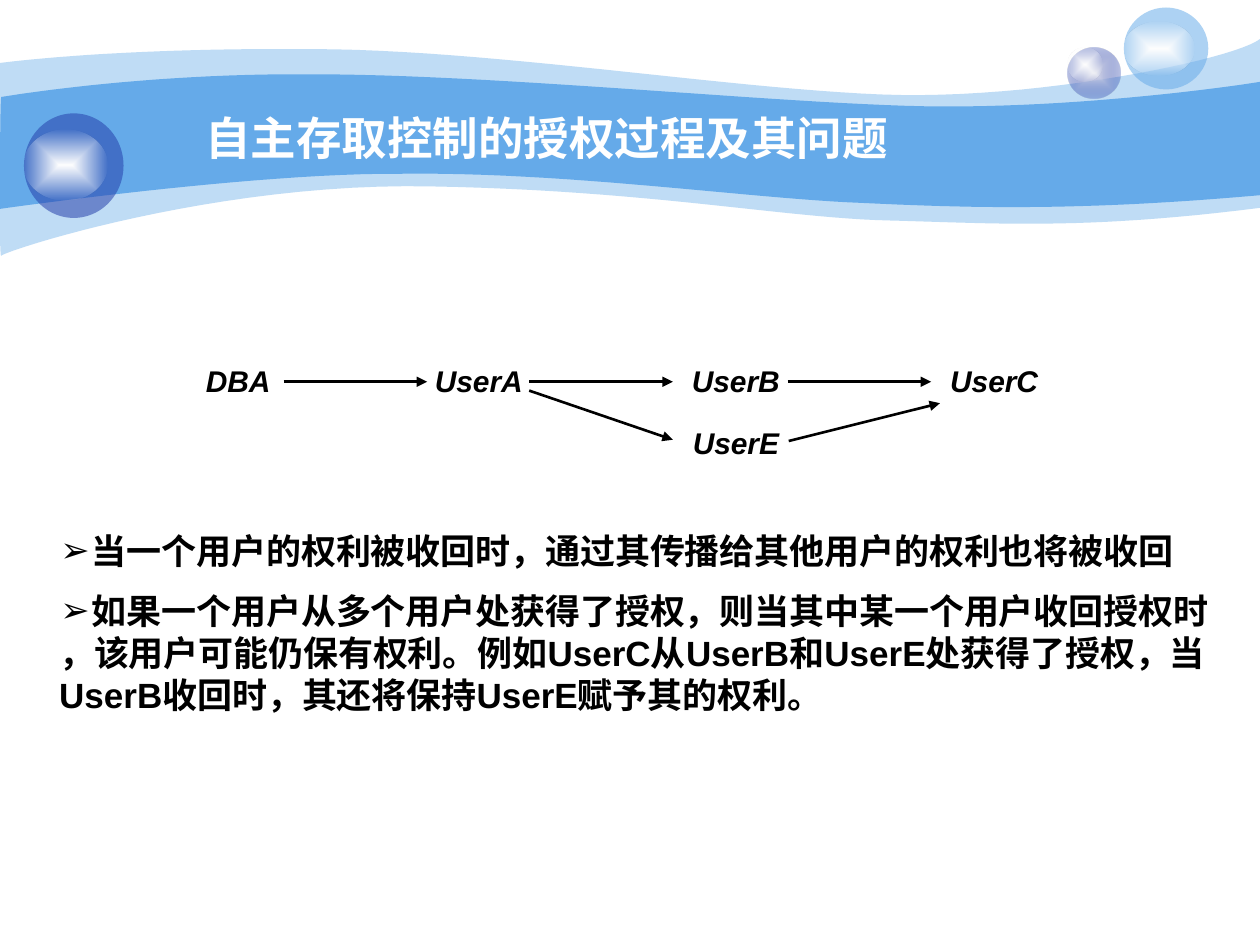
import itertools
import pptx
import pptx.util
import pptx.oxml
import pptx.oxml.ns
import pptx.dml.color
import pptx.enum.shapes
import pptx.enum.text

Inches = pptx.util.Inches
Pt = pptx.util.Pt
ALIGN = pptx.enum.text.PP_ALIGN
ANCHOR = pptx.enum.text.MSO_ANCHOR
CJK_FONT = "Noto Sans CJK SC"

TITLE = "自主存取控制的授权过程及其问题"
BODY = [
    ("当一个用户的权利被收回时，通过其传播给其他用户的权利也将被收回", True, 11.1),
    ("如果一个用户从多个用户处获得了授权，则当其中某一个用户收回授权时", True, 10.3),
    ("，该用户可能仍保有权利。例如UserC从UserB和UserE处获得了授权，当", False, 0),
    ("UserB收回时，其还将保持UserE赋予其的权利。", False, 0),
]
USERS = [
    ("DBA", 1.89, 2.87),
    ("UserA", 3.8, 2.87),
    ("UserB", 5.84, 2.87),
    ("UserC", 7.89, 2.87),
    ("UserE", 5.84, 3.36),
]
GRANTS = [
    (2.25, 3.03, 3.39, 3.03),
    (4.2, 3.03, 5.34, 3.03),
    (6.25, 3.03, 7.39, 3.03),
    (4.2, 3.1, 5.34, 3.49),
    (6.26, 3.5, 7.46, 3.2),
]
WAVES = [
    ("65AAE9", 41, (0, 0.5), [
        (0.24, 0.47, 1.07, 0.38, 2.47, 0.39),
        (3.86, 0.39, 5.75, 0.7, 6.99, 0.75),
        (8.22, 0.8, 9.8, 0.47, 10, 0.31),
        (10, 1.65),
        (8.58, 1.83, 7.87, 1.77, 7.05, 1.75),
        (6.22, 1.73, 5.15, 1.51, 3.43, 1.48),
        (1.72, 1.44, 0.04, 1.99, 0.01, 2.03),
        (-0.01, 2.08, 0, 0.75, 0, 0.5),
    ]),
    ("65AAE9", 100, (0.01, 0.77), [
        (0.02, 0.77, 1.1, 0.58, 2.48, 0.59),
        (3.86, 0.59, 5.95, 0.8, 7.18, 0.84),
        (8.41, 0.88, 9.76, 0.69, 10, 0.65),
        (10, 1.55),
        (8.53, 1.68, 7.65, 1.65, 6.82, 1.61),
        (5.99, 1.58, 4.47, 1.36, 3.17, 1.38),
        (2.03, 1.37, -0.02, 1.66, -0.01, 1.66),
        (0, 1.66, 0, 0.77, 0.01, 0.77),
    ]),
]
GLOW = [("FFFFFF", 100), ("FFFFFF", 0)]
BUBBLES = [
    ((8.47, 0.38, 0.42, 0.4), [("E1E2ED", 100), ("233DA9", 31)]),
    ((8.47, 0.38, 0.28, 0.27), GLOW),
    ((8.92, 0.06, 0.67, 0.65), [("65AAE9", 53)]),
    ((8.92, 0.17, 0.56, 0.43), GLOW),
    ((0.19, 0.9, 0.79, 0.83), [("233DA9", 53)]),
    ((0.19, 1.03, 0.66, 0.56), GLOW),
]


def color(value):
    return pptx.dml.color.RGBColor.from_string(value)


def element(markup):
    tag, rest = markup[1:].split(" ", 1)
    return pptx.oxml.parse_xml(f"<{tag} {pptx.oxml.ns.nsdecls('a')} {rest}")


def set_all(target, values):
    for name, value in values.items():
        setattr(target, name, value)


def paint(shape, stops):
    colors = [f'<a:srgbClr val="{value}"><a:alpha val="{alpha * 1000}"/></a:srgbClr>'
              for value, alpha in stops]
    if len(colors) == 1:
        markup = f"<a:solidFill >{colors[0]}</a:solidFill>"
    else:
        marks = "".join(f'<a:gs pos="{place * 100000}">{value}</a:gs>'
                        for place, value in enumerate(colors))
        markup = (f'<a:gradFill rotWithShape="1"><a:gsLst>{marks}</a:gsLst><a:path path="shape">'
                  '<a:fillToRect l="50000" t="50000" r="50000" b="50000"/></a:path></a:gradFill>')
    shape._element.spPr.append(element(markup))
    shape.line.fill.background()
    shape.shadow.inherit = False


def trace(start, segments, steps=24):
    points = [start]
    for segment in segments:
        if len(segment) == 2:
            points.append(segment)
            continue
        corners = [points[-1], segment[:2], segment[2:4], segment[4:]]
        for step in range(1, steps + 1):
            t = step / steps
            weights = [(1 - t) ** 3, 3 * t * (1 - t) ** 2, 3 * t * t * (1 - t), t ** 3]
            points.append(tuple(sum(w * c[axis] for w, c in zip(weights, corners))
                                for axis in (0, 1)))
    return [(Inches(x), Inches(y)) for x, y in points]


def add_wave(slide, value, alpha, start, segments):
    first, *others = trace(start, segments)
    builder = slide.shapes.build_freeform(*first, scale=1.0)
    builder.add_line_segments(others, close=True)
    paint(builder.convert_to_shape(), [(value, alpha)])


def add_frame(slide, box, top_inset, wrap=True, anchor=ANCHOR.TOP):
    frame = slide.shapes.add_textbox(*map(Inches, box)).text_frame
    set_all(frame, dict(word_wrap=wrap, vertical_anchor=anchor, margin_left=0, margin_right=0,
                        margin_top=Inches(top_inset), margin_bottom=0))
    return frame


def add_run(paragraph, text, size, font, value="000000", italic=False):
    run = paragraph.add_run()
    run.text = text
    set_all(run.font, dict(size=Pt(size), bold=True, italic=italic, name=font))
    run.font.color.rgb = color(value)
    properties = run.font._element
    properties.append(element(f'<a:ea typeface="{CJK_FONT}"/>'))
    return properties


def add_body(slide):
    frame = add_frame(slide, (0.46, 4.05, 9.18, 1.64), 0.15)
    for index, (text, bulleted, space) in enumerate(BODY):
        paragraph = frame.add_paragraph() if index else frame.paragraphs[0]
        set_all(paragraph, dict(space_before=Pt(space), line_spacing=Pt(24)))
        properties = paragraph._p.get_or_add_pPr()
        left, indent = (0.27, -0.25) if bulleted else (0.01, 0)
        properties.set("marL", str(Inches(left)))
        properties.set("indent", str(Inches(indent)))
        if bulleted:
            properties.append(element('<a:buFont typeface="Arial"/>'))
            properties.append(element('<a:buChar char="➢"/>'))
        for latin, letters in itertools.groupby(text, str.isascii):
            run = add_run(paragraph, "".join(letters), 20, "Arial" if latin else CJK_FONT)
            if not latin:
                run.set("spc", "-10")


def add_arrow(slide, ends):
    arrow = slide.shapes.add_connector(pptx.enum.shapes.MSO_CONNECTOR.STRAIGHT,
                                       *map(Inches, ends))
    arrow.line.width = Pt(1.5)
    arrow.line.color.rgb = color("000000")
    arrow.line._get_or_add_ln().append(element('<a:tailEnd type="triangle"/>'))
    arrow._element.spPr.append(element("<a:effectLst />"))


def main():
    presentation = pptx.Presentation()
    set_all(presentation, dict(slide_width=Inches(10), slide_height=Inches(7.5)))
    slide = presentation.slides.add_slide(presentation.slide_layouts[6])
    for wave in WAVES:
        add_wave(slide, *wave)
    for box, stops in BUBBLES:
        oval = pptx.enum.shapes.MSO_SHAPE.OVAL
        paint(slide.shapes.add_shape(oval, *map(Inches, box)), stops)
    for ends in GRANTS:
        add_arrow(slide, ends)
    for name, center, top in USERS:
        frame = add_frame(slide, (center - 0.36, top, 0.72, 0.3), 0.01, wrap=False)
        frame.paragraphs[0].alignment = ALIGN.CENTER
        add_run(frame.paragraphs[0], name, 17.1, "Arial", italic=True)
    add_body(slide)
    frame = add_frame(slide, (1, 0.8, 6.68, 0.51), 0.07, anchor=ANCHOR.MIDDLE)
    frame.paragraphs[0].alignment = ALIGN.CENTER
    add_run(frame.paragraphs[0], TITLE, 26, "Roboto", "FFFFFF")
    presentation.save("out.pptx")


if __name__ == "__main__":
    main()
